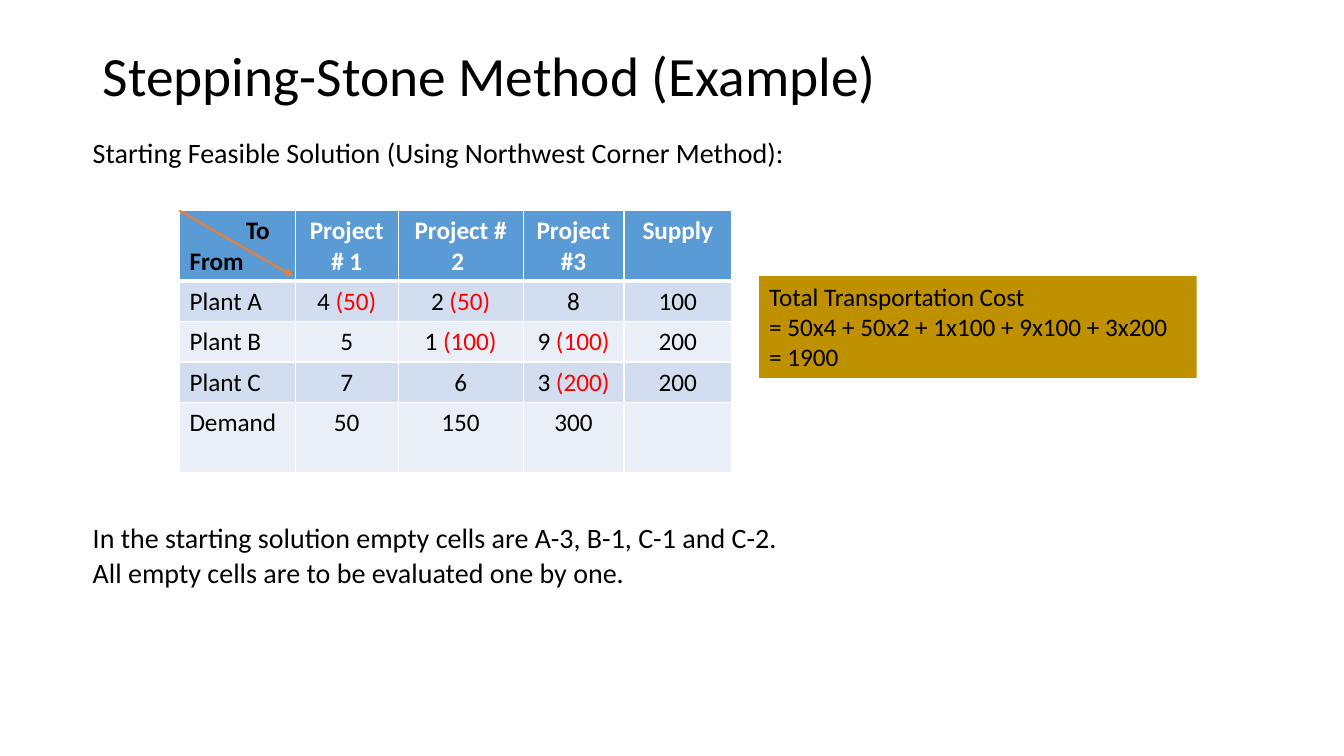
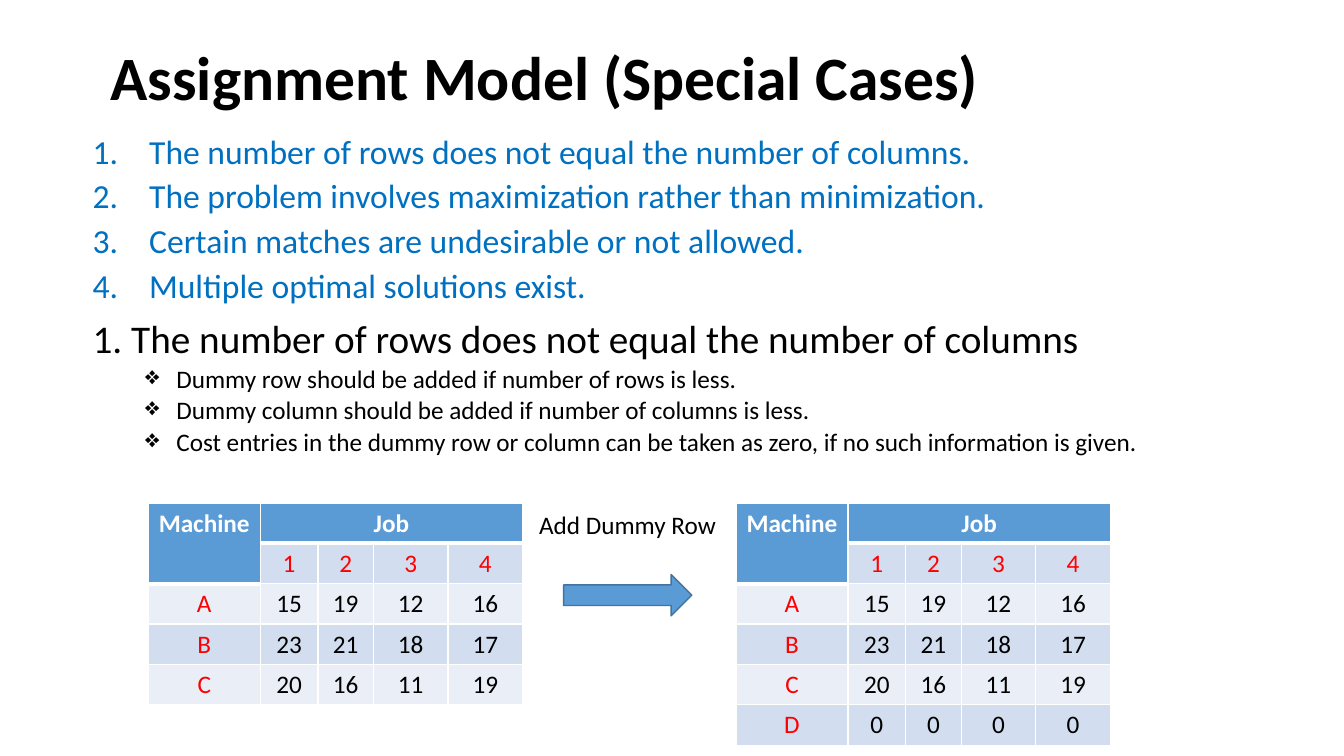
from pptx import Presentation, util as u
from pptx.dml.color import RGBColor
from pptx.enum import shapes, text
from pptx.oxml import parse_xml
from pptx.oxml.ns import nsdecls, qn

W, H = 13.33, 7.5
FONT = "Calibri"
BLACK, WHITE, RED, BLUE = "000000", "FFFFFF", "FF0000", "5B9BD5"
BANDS = "EAEFF7", "D2DEEF"
LEFT, CENTER, JUSTIFY = text.PP_ALIGN.LEFT, text.PP_ALIGN.CENTER, text.PP_ALIGN.JUSTIFY
MARGIN, BODY_TOP, ROW = 6.9, 17.73, 5.33


def rgb(color):
    return RGBColor.from_string(color)


def x(share):
    return u.Inches(W * share / 100)


def y(share):
    return u.Inches(H * share / 100)


def box(left, top, width, height):
    return x(left), y(top), x(width), y(height)


def element(tag, attrs="", inner=""):
    return parse_xml(f"<a:{tag} {nsdecls('a')} {attrs}>{inner}</a:{tag}>")


def style(p, size, color=BLACK, bold=False, align=LEFT, before=0, spacing=1):
    p.alignment, p.space_before, p.line_spacing = align, u.Pt(before), spacing
    for r in p.runs:
        r.font.name, r.font.size, r.font.bold = FONT, u.Pt(size), bold
        r.font.color.rgb = rgb(color)


def indent(p, left, hanging=0, bullet=None):
    pPr = p._p.get_or_add_pPr()
    pPr.set("marL", str(u.Inches(left)))
    pPr.set("indent", str(-u.Inches(hanging)))
    if bullet is not None:
        pPr.append(bullet)


def write(tf, lines, size, **look):
    first = len(tf.paragraphs) if tf.text else 0
    added = []
    for i, line in enumerate(lines):
        p = tf.paragraphs[0] if first + i == 0 else tf.add_paragraph()
        p.text = line
        style(p, size, **look)
        added.append(p)
    return added


def add_text(s, place, inset=True):
    tf = s.shapes.add_textbox(*place).text_frame
    tf.word_wrap = True
    if not inset:
        tf.margin_left = tf.margin_right = tf.margin_bottom = 0
        tf.margin_top = u.Inches(0.01)
    return tf


def add_title(s, place, title, size, bold=False):
    tf = add_text(s, place)
    tf.vertical_anchor = text.MSO_ANCHOR.MIDDLE
    write(tf, [title], size, bold=bold, spacing=0.9)


def add_shape(s, kind, place, fill, line=None):
    sp = s.shapes.add_shape(kind, *place)
    sp.shadow.inherit = False
    sp.fill.solid()
    sp.fill.fore_color.rgb = rgb(fill)
    if line:
        sp.line.color.rgb = rgb(line)
        sp.line.width = u.Pt(1)
    else:
        sp.line.fill.background()
    return sp


def add_arrow(s, start, end, color):
    cn = s.shapes.add_connector(
        shapes.MSO_CONNECTOR.STRAIGHT, x(start[0]), y(start[1]), x(end[0]), y(end[1]))
    cn.line.color.rgb = rgb(color)
    cn.line.width = u.Pt(1.5)
    cn.line._get_or_add_ln().append(element("tailEnd", 'type="triangle"'))
    cn._element.spPr.append(element("effectLst"))


def set_borders(cell, top, bottom):
    fill = f'<a:solidFill><a:srgbClr val="{WHITE}"/></a:solidFill>'
    tcPr = cell._tc.get_or_add_tcPr()
    for i, (side, width) in enumerate(zip("LRTB", (1, 1, top, bottom))):
        tcPr.insert(i, element(f"ln{side}", f'w="{u.Pt(width)}"', fill))


def fill_cell(cell, value, header, color, align, fill):
    cell.fill.solid()
    cell.fill.fore_color.rgb = rgb(fill)
    base, mark, allocated = value.partition("(")
    for p in write(cell.text_frame, base.split("\n"), 18, color=color, bold=header, align=align):
        if mark:
            r = p.add_run()
            r.text = mark + allocated
            r.font.name, r.font.size = FONT, u.Pt(18)
            r.font.color.rgb = rgb(RED)


def add_table(s, left, top, cols, heights, rows, label_color=BLACK, label_align=CENTER):
    place = box(left, top, sum(cols), sum(heights))
    tbl = s.shapes.add_table(len(rows), len(cols), *place).table
    for col, width in zip(tbl.columns, cols):
        col.width = x(width)
    for row, height in zip(tbl.rows, heights):
        row.height = y(height)
    for i, row in enumerate(rows):
        for j, value in enumerate(row):
            header = i == 0
            label = j == 0 or (i == 1 and label_color != BLACK)
            color = WHITE if header else label_color if label else BLACK
            cell = tbl.cell(i, j)
            fill_cell(cell, value, header, color, label_align if j == 0 else CENTER,
                      BLUE if header else BANDS[i % 2])
            set_borders(cell, 3 if i == 1 else 1, 3 if header else 1)
    return tbl


def add_job_table(s, left, machines):
    rows = [["Machine", "Job", "", "", ""], ["", "1", "2", "3", "4"]]
    rows += [[name, *map(str, costs)] for name, costs in machines.items()]
    tbl = add_table(s, left, 66.53, [8.33, 4.3, 4.13, 5.55, 5.55],
                    [ROW] * len(rows), rows, label_color=RED)
    tbl.cell(0, 0).merge(tbl.cell(1, 0))
    tbl.cell(0, 1).merge(tbl.cell(0, 4))


def stepping_stone(s):
    add_title(s, box(MARGIN, 5.33, 84.7, 10), "Stepping-Stone Method (Example)", 39.6)
    notes = {
        BODY_TOP: ["Starting Feasible Solution (Using Northwest Corner Method):"],
        68.67: ["In the starting solution empty cells are A-3, B-1, C-1 and C-2.",
                "All empty cells are to be evaluated one by one."],
    }
    for top, lines in notes.items():
        tf = add_text(s, box(MARGIN, top, 85.75, ROW * len(lines)), inset=False)
        write(tf, lines, 20, align=JUSTIFY, before=1)

    left, top = 13.35, 27.87
    tbl = add_table(s, left, top, [8.63, 7.65, 9.3, 7.5, 8.03],
                    [9.33, ROW, ROW, ROW, 9.33], [
        ["To\nFrom", "Project # 1", "Project # 2 ", "Project #3", "Supply"],
        ["Plant A", "4 (50)", "2 (50)", "8", "100"],
        ["Plant B", "5", "1 (100)", "9 (100)", "200"],
        ["Plant C", "7", "6", "3 (200)", "200"],
        ["Demand", "50", "150", "300", ""],
    ], label_align=LEFT)
    corner = tbl.cell(0, 0).text_frame.paragraphs
    for p in corner:
        style(p, 18, bold=True)
    indent(corner[0], 0.56)
    add_arrow(s, (left, top), (21.83, 36.53), "ED7D31")

    sp = add_shape(s, shapes.MSO_SHAPE.RECTANGLE, box(56.49, 36.53, 32.56, 13.47), "BF9000")
    sp.text_frame.vertical_anchor = text.MSO_ANCHOR.TOP
    write(sp.text_frame, ["Total Transportation Cost",
                          "= 50x4 + 50x2 + 1x100 + 9x100 + 3x200",
                          "= 1900"], 18)


def special_cases(s):
    add_title(s, box(7.5, 3.47, 84.7, 14.27), "Assignment Model (Special Cases)", 44, bold=True)
    tf = add_text(s, box(MARGIN, BODY_TOP, 88.45, 45), inset=False)
    cases = write(tf, ["The number of rows does not equal the number of columns.",
                       "The problem involves maximization rather than minimization.",
                       "Certain matches are undesirable or not allowed.",
                       "Multiple optimal solutions exist."],
                  24, color="0070C0", before=6, spacing=0.9)
    for p in cases:
        indent(p, 0.56, 0.56, element("buAutoNum", 'type="arabicPeriod"'))
    write(tf, ["1. The number of rows does not equal the number of columns"],
          28, before=10, spacing=0.9)
    rules = write(tf, ["Dummy row should be added if number of rows is less.",
                       "Dummy column should be added if number of columns is less.",
                       "Cost entries in the dummy row or column can be taken as zero, "
                       "if no such information is given."],
                  18, align=JUSTIFY, before=1)
    for p in rules:
        indent(p, 0.83, 0.31, element("buChar", 'char="❖"'))

    machines = {"A": [15, 19, 12, 16], "B": [23, 21, 18, 17], "C": [20, 16, 11, 19]}
    add_job_table(s, 11.03, machines)
    add_job_table(s, 54.76, {**machines, "D": [0] * 4})
    write(add_text(s, box(39.38, 66.67, 14.93, ROW)), ["Add Dummy Row"], 18)
    add_shape(s, shapes.MSO_SHAPE.RIGHT_ARROW, box(41.94, 76, 9.53, 5.47), BLUE, "43739E")


def main():
    prs = Presentation()
    prs.slide_width, prs.slide_height = u.Inches(W), u.Inches(H)
    for build in (stepping_stone, special_cases):
        build(prs.slides.add_slide(prs.slide_layouts[6]))
    prs.save("out.pptx")


if __name__ == "__main__":
    main()
